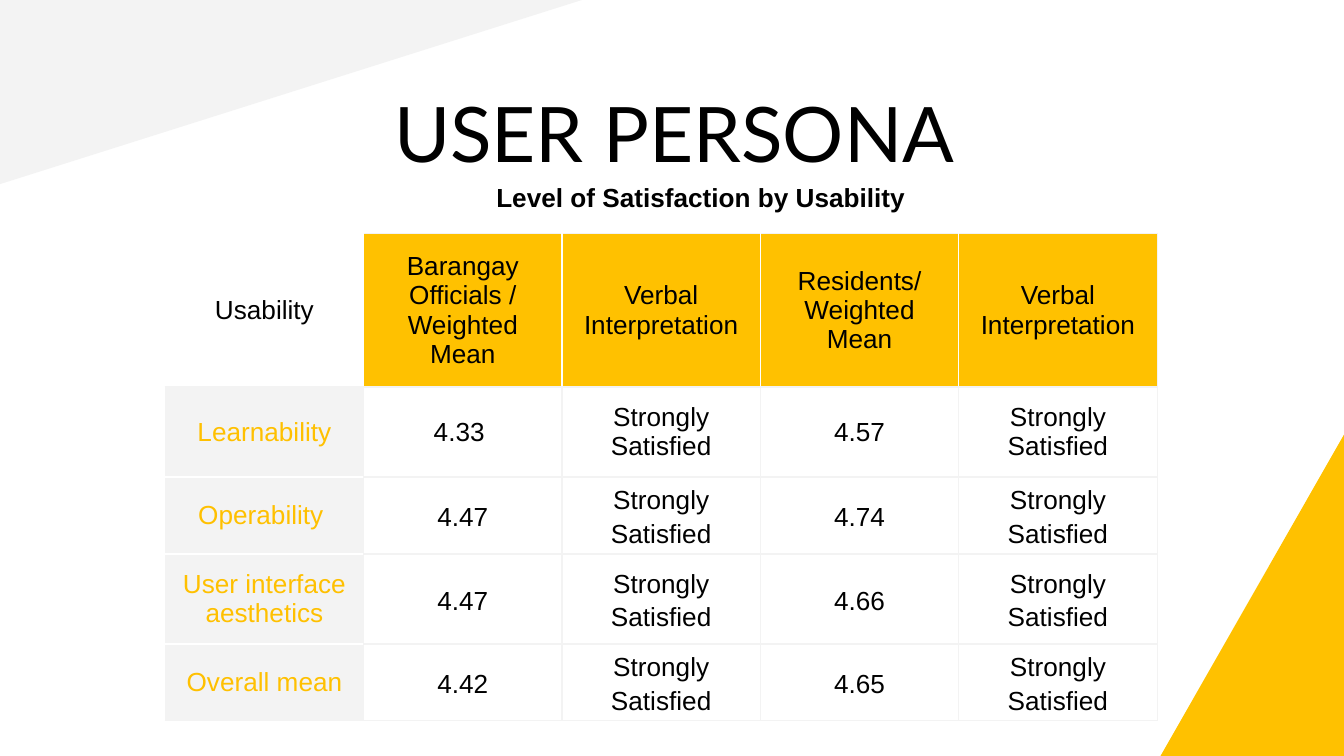
"""Build the usability satisfaction slide."""
from lxml.etree import SubElement
from pptx import Presentation
from pptx.dml.color import RGBColor
from pptx.enum.shapes import MSO_SHAPE as Shape
from pptx.enum.text import MSO_ANCHOR as Anchor, PP_ALIGN as Align
from pptx.oxml.ns import qn
from pptx.util import Inches, Pt

WIDTH = 10
HEIGHT = WIDTH * 9 / 16
BLACK, WHITE, GRAY, YELLOW, AMBER = "000000", "FFFFFF", "F3F3F3", "FFC100", "FFC000"
SATISFIED = "Strongly Satisfied"

TITLE = ("USER PERSONA", (0.59, 0.54, 8.86, 0.63), {"name": "Lato", "size": Pt(41)})
SUBTITLE = ("Level of Satisfaction by Usability", (3.26, 1.25, 3.91, 0.4),
            {"name": "Arial", "size": Pt(14), "bold": True})
HEADER = ["Usability", "Barangay Officials / Weighted Mean", "Verbal Interpretation",
          "Residents/\nWeighted Mean", "Verbal Interpretation"]
SCORES = [
    ("Learnability", "4.33 ", "4.57"),
    ("Operability ", "4.47", "4.74"),
    ("User interface aesthetics", "4.47", "4.66"),
    ("Overall mean", "4.42", "4.65"),
]
ROWS = [HEADER] + [[name, officials, SATISFIED, residents, SATISFIED]
                   for name, officials, residents in SCORES]
ROW_HEIGHTS = [1.14, 0.67, 0.56, 0.67, 0.56]
TABLE_LEFT, TABLE_TOP, TABLE_WIDTH = 1.23, 1.74, 7.38
TRIANGLES = [
    ((0, 0, 4.33, 1.37), GRAY, 180, True),
    ((8.12, 3.74, 2.4, 1.37), YELLOW, 270, False),
]
CELL_FONT = {"name": "Arial", "size": Pt(14)}


def color(value):
    return RGBColor.from_string(value)


def inches(values):
    return [Inches(value) for value in values]


def set_margins(target, horizontal, vertical):
    for side, size in {"left": horizontal, "right": horizontal,
                       "top": vertical, "bottom": vertical}.items():
        setattr(target, f"margin_{side}", Inches(size))


def write(frame, text, font, ink=BLACK, spacing=None):
    frame.word_wrap = True
    for index, line in enumerate(text.split("\n")):
        para = frame.add_paragraph() if index else frame.paragraphs[0]
        para.alignment = Align.CENTER
        para.line_spacing = spacing
        span = para.add_run()
        span.text = line
        for name, value in font.items():
            setattr(span.font, name, value)
        span.font.color.rgb = color(ink)


def add_triangle(page, place, fill, rotation, flipped):
    triangle = page.shapes.add_shape(Shape.RIGHT_TRIANGLE, *inches(place))
    triangle.shadow.inherit = False
    triangle.fill.solid()
    triangle.fill.fore_color.rgb = color(fill)
    triangle.line.fill.background()
    triangle.rotation = rotation
    if flipped:
        triangle._element.spPr.find(qn("a:xfrm")).set("flipH", "1")


def add_text(page, text, place, font):
    box = page.shapes.add_textbox(*inches(place))
    set_margins(box.text_frame, 0.1, 0.1)
    write(box.text_frame, text, font)


def set_borders(cell, sides, width):
    properties = cell._tc.get_or_add_tcPr()
    for side in "LRTB":
        line = SubElement(properties, qn(f"a:ln{side}"), w=str(Pt(width)))
        if side in sides:
            fill = SubElement(line, qn("a:solidFill"))
            SubElement(fill, qn("a:srgbClr"), val=sides[side])
        else:
            SubElement(line, qn("a:noFill"))


def cell_borders(row, column):
    if row == column == 0:
        return {}
    sides = dict.fromkeys("LRTB", GRAY)
    if row == 0:
        sides["L"] = WHITE
        sides["R"] = GRAY if column == len(HEADER) - 1 else WHITE
    elif column == 0:
        sides["T"] = GRAY if row == 1 else WHITE
        sides["B"] = GRAY if row == len(SCORES) else WHITE
    return sides


def style_cell(cell, row, column, text):
    label = row > 0 and column == 0
    compact = row > 1 and column > 0
    set_borders(cell, cell_borders(row, column), 0.83 if compact else 0.75)
    fill = GRAY if label else YELLOW if row == 0 and column else None
    if fill:
        cell.fill.solid()
        cell.fill.fore_color.rgb = color(fill)
    else:
        cell.fill.background()
    cell.vertical_anchor = Anchor.MIDDLE
    set_margins(cell, *((0.03, 0.02) if compact else (0.1, 0.1)))
    write(cell.text_frame, text, CELL_FONT, AMBER if label else BLACK,
          1.14 if compact else None)


def add_scores(page):
    size = (TABLE_LEFT, TABLE_TOP, TABLE_WIDTH, sum(ROW_HEIGHTS))
    table = page.shapes.add_table(len(ROWS), len(HEADER), *inches(size)).table
    table.first_row = table.horz_banding = False
    for column in table.columns:
        column.width = Inches(TABLE_WIDTH / len(HEADER))
    for row, (height, texts) in enumerate(zip(ROW_HEIGHTS, ROWS)):
        table.rows[row].height = Inches(height)
        for column, text in enumerate(texts):
            style_cell(table.cell(row, column), row, column, text)


def main():
    deck = Presentation()
    deck.slide_width, deck.slide_height = inches((WIDTH, HEIGHT))
    page = deck.slides.add_slide(deck.slide_layouts[6])
    for triangle in TRIANGLES:
        add_triangle(page, *triangle)
    add_text(page, *TITLE)
    add_scores(page)
    add_text(page, *SUBTITLE)
    deck.save("out.pptx")


if __name__ == "__main__":
    main()
